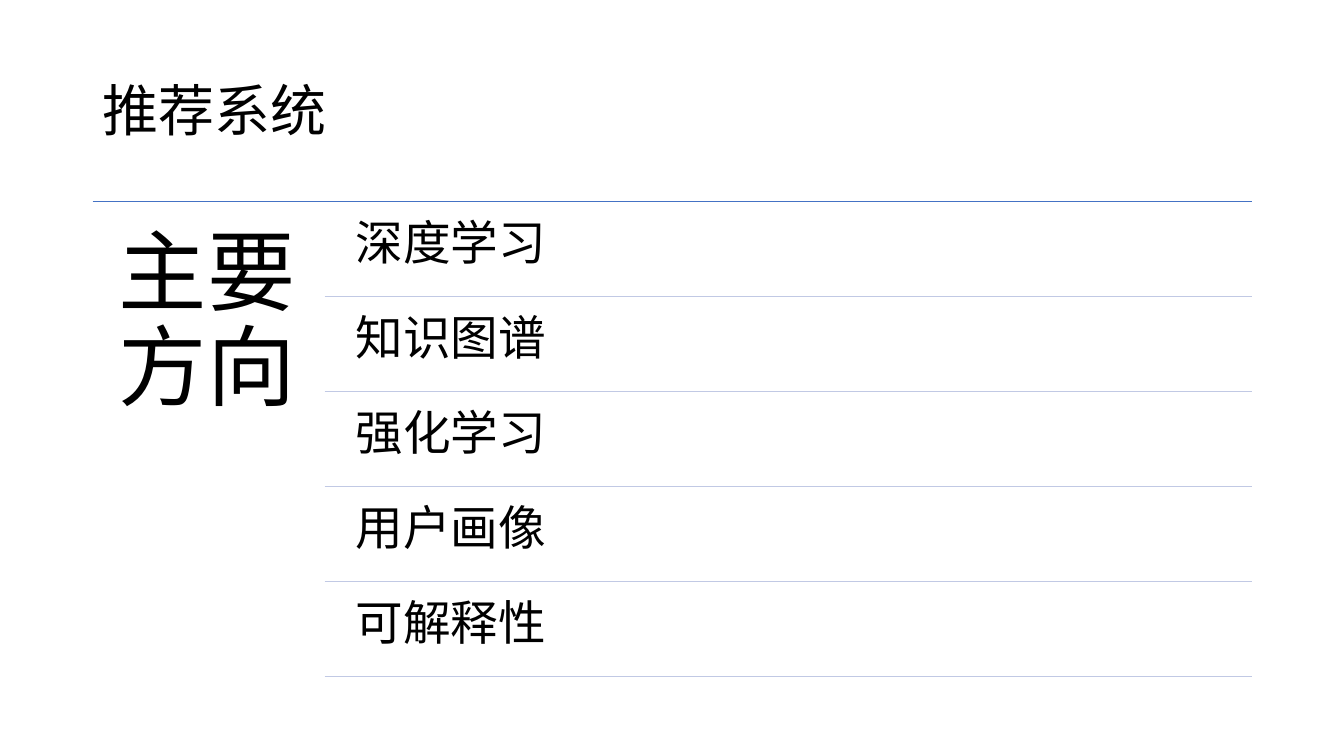
from dataclasses import dataclass

from lxml import etree
from pptx import Presentation
from pptx.dml.color import RGBColor
from pptx.enum.shapes import MSO_CONNECTOR
from pptx.enum.text import MSO_ANCHOR
from pptx.oxml.ns import qn
from pptx.util import Inches, Pt

STRAIGHT = MSO_CONNECTOR.STRAIGHT
TOP, MIDDLE = MSO_ANCHOR.TOP, MSO_ANCHOR.MIDDLE


@dataclass(frozen=True)
class Theme:
    """Hold the font, colours and type sizes."""
    font: str = "Noto Sans CJK SC"
    ink: str = "000000"
    rule: str = "4472C4"
    pale: str = "C1C9E4"
    title: int = 40
    head: int = 63
    item: int = 34
    line: int = 1


THEME = Theme()


def add_text(slide, text, box, size, inset=(0.1, 0.05), anchor=TOP):
    """Add a wrapped text box with one formatted run."""
    frame = slide.shapes.add_textbox(*map(Inches, box)).text_frame
    frame.word_wrap = True
    frame.vertical_anchor = anchor
    frame.margin_left = frame.margin_right = Inches(inset[0])
    frame.margin_top = frame.margin_bottom = Inches(inset[1])
    para = frame.paragraphs[0]
    para.line_spacing = 0.9
    run = para.add_run()
    run.text = text
    run.font.size = Pt(size)
    run.font.name = THEME.font
    run.font.color.rgb = RGBColor.from_string(THEME.ink)
    east = etree.SubElement(run.font._element, qn("a:ea"))
    east.set("typeface", THEME.font)


def add_rule(slide, left, right, y, color):
    """Add a flat horizontal line."""
    ends = map(Inches, (left, y, right, y))
    rule = slide.shapes.add_connector(STRAIGHT, *ends)
    rule.line.color.rgb = RGBColor.from_string(color)
    rule.line.width = Pt(THEME.line)
    etree.SubElement(rule._element.spPr, qn("a:effectLst"))


def add_title(slide, box, text):
    """Place the slide title in its box."""
    add_text(slide, text, box, THEME.title, anchor=MIDDLE)


def add_list(slide, box, head, items):
    """Place a large heading beside evenly ruled items."""
    left, top, width, height = box
    right = left + width
    side = width / 5
    pitch = height / len(items)
    indent, gap = 0.17, 0.04
    add_rule(slide, left, right, top, THEME.rule)
    add_text(slide, head, (left, top, side, height), THEME.head, (0.26, 0.26))
    for row, item in enumerate(items):
        y = top + row * pitch
        cell = (left + side + indent, y + gap,
                width - side - indent, pitch - gap)
        add_text(slide, item, cell, THEME.item, (0.14, 0.14))
        add_rule(slide, left + side, right, y + pitch, THEME.pale)


def main():
    """Build and save the slide."""
    deck = Presentation()
    deck.slide_width, deck.slide_height = Inches(13.33), Inches(7.5)
    slide = deck.slides.add_slide(deck.slide_layouts[6])
    add_title(slide, (0.92, 0.4, 11.5, 1.45), "推荐系统")
    items = ("深度学习", "知识图谱", "强化学习", "用户画像", "可解释性")
    add_list(slide, (0.92, 2, 11.5, 4.71), "主要方向", items)
    deck.save("out.pptx")


main()
